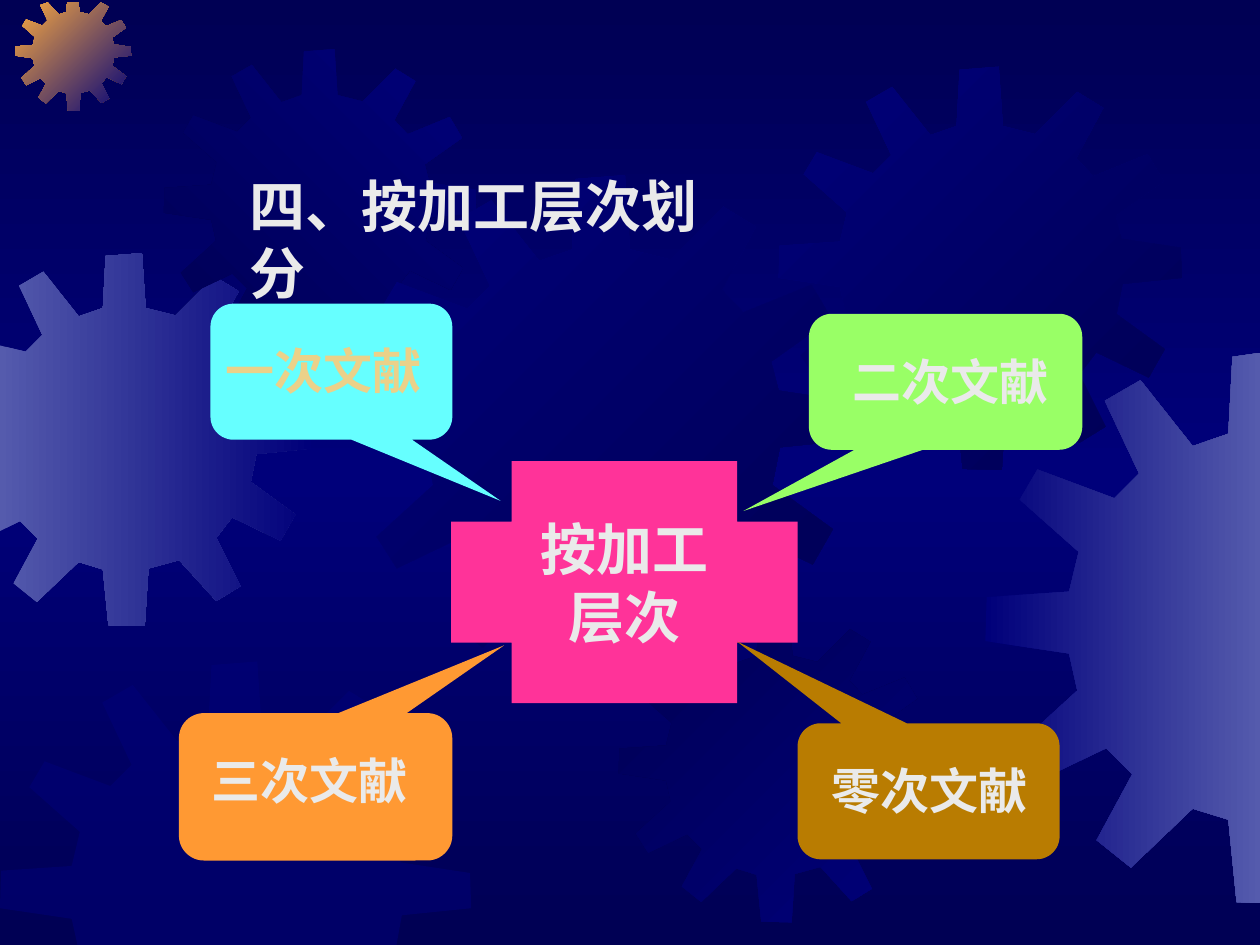
"""Build the slide on dividing literature by level of processing."""
from copy import deepcopy
from lxml.etree import SubElement
from pptx import Presentation
from pptx.dml.color import RGBColor
from pptx.enum.shapes import MSO_SHAPE as Shape
from pptx.enum.text import MSO_ANCHOR as Anchor, PP_ALIGN as Align
from pptx.oxml.ns import qn
from pptx.util import Inches, Pt

rgb = RGBColor.from_string


def blend(fill, first, last, angle):
    fill.gradient()
    fill.gradient_angle = angle
    for stop, tone in zip(fill.gradient_stops, (first, last)):
        stop.color.rgb = rgb(tone)


def write(frame, lines, size, tone="EAEAEA", face="Times New Roman", align=Align.LEFT):
    frame.text = "\n".join(lines)
    for para in frame.paragraphs:
        para.alignment = align
        font = para.font
        font.size, font.bold, font.name = Pt(size), True, face
        font.color.rgb = rgb(tone)


NIGHT, NAVY, HAZE, GOLD = "000054", "00007A", "555BAD", "FCAB40"

deck = Presentation()
deck.slide_width, deck.slide_height = Inches(10), Inches(7.5)
slide = deck.slides.add_slide(deck.slide_layouts[6])
shapes = slide.shapes

back = slide.background.fill
blend(back, NIGHT, NIGHT, 270)
stops = slide.background._cSld.find(".//" + qn("a:gsLst"))
mid = deepcopy(stops[0])
stops.insert(1, mid)
mid.set("pos", "50000")
mid[0].set("val", NAVY)

teeth = [
    (2.55, 0.67), (2.23, 0.59), (2.19, 0), (1.8, 0.03), (1.77, 0.59), (1.51, 0.68),
    (1.13, 0.2), (0.87, 0.35), (1.12, 0.88), (0.94, 1.06), (0.38, 0.85), (0.25, 1.07),
    (0.68, 1.45), (0.61, 1.74), (0.01, 1.78), (0, 2.1), (0.61, 2.19), (0.67, 2.46),
    (0.22, 2.87), (0.38, 3.12), (0.88, 2.88), (1.07, 3.07), (0.81, 3.55), (1.06, 3.75),
    (1.51, 3.32), (1.77, 3.4), (1.83, 4), (2.22, 4.01), (2.26, 3.39), (2.59, 3.3),
    (2.99, 3.74), (3.25, 3.58), (2.99, 3.06), (3.16, 2.84), (3.68, 3.09), (3.84, 2.81),
    (3.36, 2.46), (3.42, 2.16), (4.01, 2.1), (4, 1.8), (3.41, 1.71), (3.35, 1.48),
    (3.83, 1.14), (3.67, 0.87), (3.13, 1.09), (2.96, 0.91), (3.23, 0.41), (2.97, 0.25),
]
whole = (0, 48, [])
gears = [
    (-0.49, 2.01, 2.96, HAZE, NAVY, 0, (20, 58, [(-0.01, 2.74), (-0.01, 4.22)])),
    (0.12, -0.04, 0.92, GOLD, NAVY, 315, whole),
    (1.3, 0.39, 2.48, NIGHT, NAVY, 45, whole),
    (2.77, 1.39, 4.01, NAVY, NIGHT, 315, whole),
    (0, 5.25, 3.74, NAVY, None, 0, (37, 66, [(3.14, 7.54)])),
    (4.91, 4.84, 2.48, NIGHT, NAVY, 315, whole),
    (6.18, 0.53, 3.2, NAVY, NIGHT, 315, whole),
    (7.82, 2.8, 4.37, NAVY, HAZE, 0, (3, 27, [(10.01, 7.17), (10.01, 2.8)])),
]
for left, top, size, first, last, angle, (start, end, edge) in gears:
    ratio = size / 4.01
    ring = [(left + x * ratio, max(top + y * ratio, 0.02)) for x, y in (teeth * 2)[start:end]]
    dots = [(Inches(x), Inches(y)) for x, y in ring + edge]
    pen = shapes.build_freeform(*dots[0])
    pen.add_line_segments(dots[1:], close=True)
    gear = pen.convert_to_shape()
    gear.shadow.inherit = False
    gear.line.fill.background()
    if last:
        blend(gear.fill, first, last, angle)
    else:
        gear.fill.solid()
        gear.fill.fore_color.rgb = rgb(first)
        tint = gear._element.spPr.find(".//" + qn("a:srgbClr"))
        SubElement(tint, qn("a:alpha")).set("val", "50000")

plus, bubble = Shape.CROSS, Shape.ROUNDED_RECTANGULAR_CALLOUT
blocks = [
    (plus, (3.58, 3.66, 2.75, 1.92), (0.25,), "FF3399", None),
    (bubble, (1.67, 2.41, 1.92, 1.08), (0.7, 0.95, 0.17), "66FFFF",
     ("一次文献", 1.69, 2.65, 2, "EBD189")),
    (bubble, (6.42, 2.49, 2.17, 1.08), (-0.74, 0.95, 0.17), "99FF66",
     ("二次文献", 6.67, 2.74, 2.42, "EAEAEA")),
    (bubble, (1.42, 5.66, 2.17, 1.17), (0.69, -0.96, 0.17), "FF9933",
     ("三次文献", 1.58, 5.91, 2.33, "EAEAEA")),
    (bubble, (6.33, 5.74, 2.08, 1.08), (-0.73, -1.1, 0.17), "B97C01",
     ("零次文献", 6.5, 5.99, 2.17, "EAEAEA")),
]
for kind, place, bends, tone, label in blocks:
    block = shapes.add_shape(kind, *map(Inches, place))
    for i, bend in enumerate(bends):
        block.adjustments[i] = bend
    block.shadow.inherit = False
    block.fill.solid()
    block.fill.fore_color.rgb = rgb(tone)
    block.line.fill.background()
    if label:
        text, left, top, width, ink = label
        box = shapes.add_textbox(Inches(left), Inches(top), Inches(width), Inches(0.57))
        box.text_frame.word_wrap = True
        write(box.text_frame, [text], 28, ink)
    else:
        frame = block.text_frame
        frame.word_wrap = False
        frame.vertical_anchor = Anchor.MIDDLE
        write(frame, ["按加工", "层次"], 32, align=Align.CENTER)

title = shapes.add_textbox(Inches(1.88), Inches(1.31), Inches(4.2), Inches(0.64))
title.text_frame.word_wrap = False
write(title.text_frame, ["四、按加工层次划分"], 32, face="Karla")

deck.save("out.pptx")
